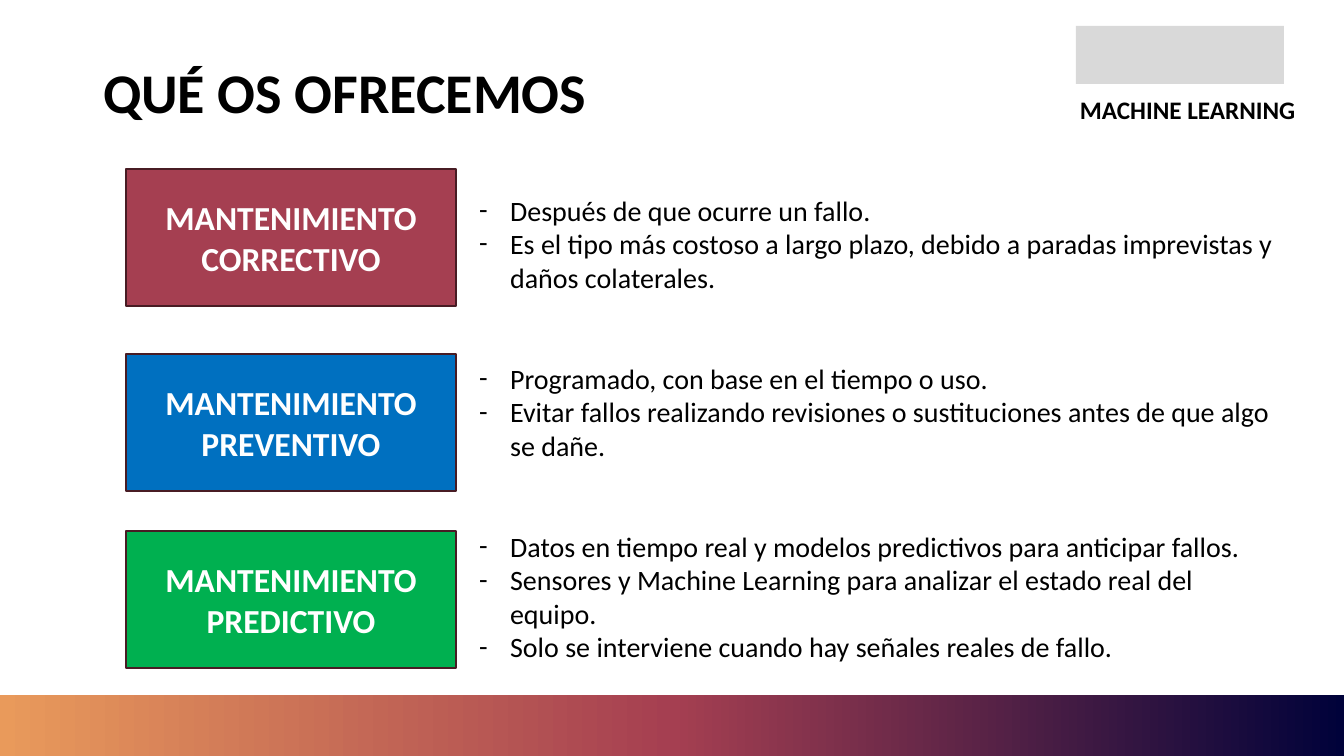
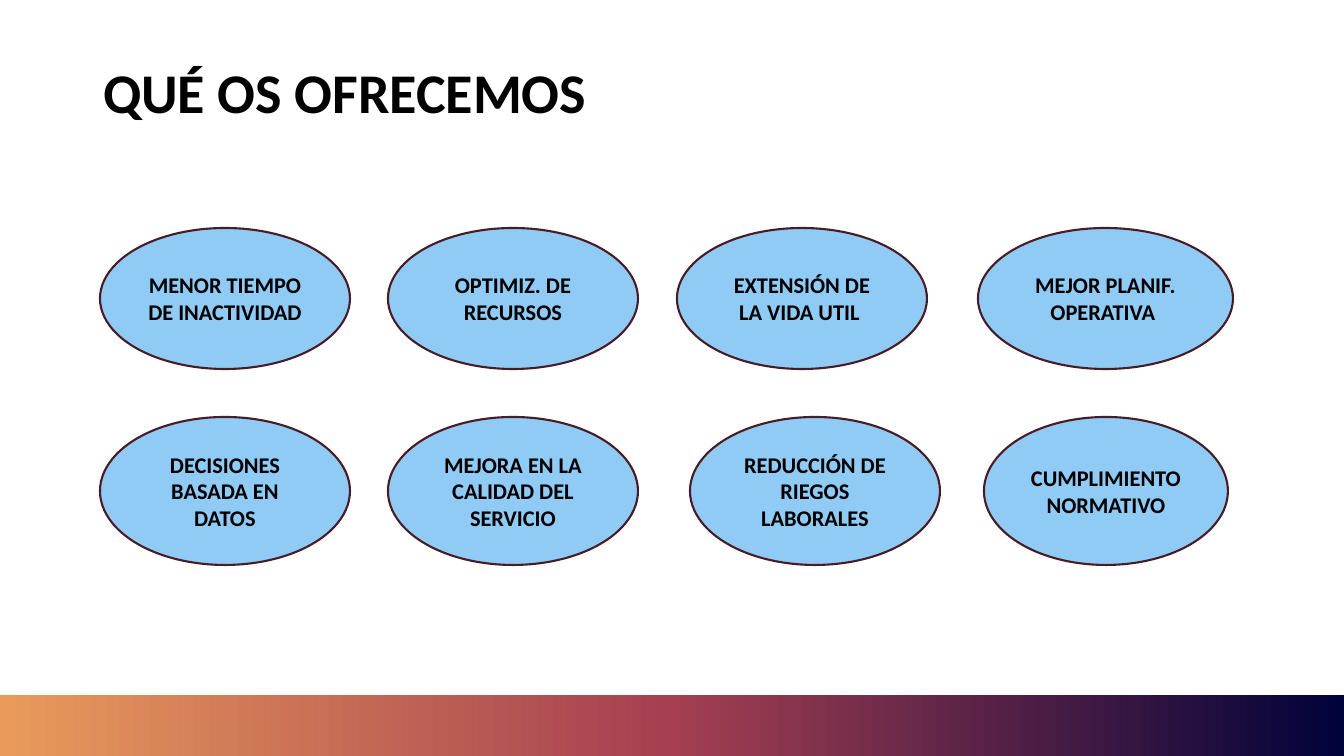
from copy import deepcopy

from lxml import etree
from pptx import Presentation
from pptx import util as u
from pptx.dml.color import RGBColor
from pptx.enum import shapes, text
from pptx.oxml import ns

BLACK = RGBColor(0x00, 0x00, 0x00)
WHITE = RGBColor(0xFF, 0xFF, 0xFF)
GRAY = RGBColor(0xD9, 0xD9, 0xD9)
MAROON = RGBColor(0xA5, 0x3F, 0x51)
BLUE = RGBColor(0x00, 0x70, 0xC0)
GREEN = RGBColor(0x00, 0xB0, 0x50)
SKY = RGBColor(0x90, 0xCB, 0xF5)
OUTLINE = RGBColor(0x48, 0x1C, 0x24)
ORANGE = RGBColor(0xE9, 0x9A, 0x5B)
NAVY = RGBColor(0x00, 0x02, 0x3A)

EMU_PER_PX = 914400 / 100.8
SLIDE_SIZE = (1344, 756)
BAND_BOX = (0, 695, 1344, 61)
BAND_STOPS = [(0, ORANGE), (0.5, MAROON), (1, NAVY)]

TITLE = "QUÉ OS OFRECEMOS"
TITLE_BOX = (93, 40, 753, 91)
TITLE_FONT = {"name": "Calibri", "size": u.Pt(40), "bold": True}

# Label, fill, top of the box, list entries
MAINTENANCE = [
    ("MANTENIMIENTO CORRECTIVO", MAROON, 169, [
        "Después de que ocurre un fallo.",
        "Es el tipo más costoso a largo plazo, debido a paradas imprevistas y daños colaterales.",
    ]),
    ("MANTENIMIENTO PREVENTIVO", BLUE, 354, [
        "Programado, con base en el tiempo o uso.",
        "Evitar fallos realizando revisiones o sustituciones antes de que algo se dañe.",
    ]),
    ("MANTENIMIENTO PREDICTIVO", GREEN, 531, [
        "Datos en tiempo real y modelos predictivos para anticipar fallos.",
        "Sensores y Machine Learning para analizar el estado real del equipo.",
        "Solo se interviene cuando hay señales reales de fallo.",
    ]),
]
LABEL_LEFT, LABEL_WIDTH, LABEL_HEIGHT = 126, 330, 137
LABEL_FONT = {"name": "Calibri", "size": u.Pt(24), "bold": True}
LIST_BOX = (469, 188, 815, 485)
LIST_FONT = {"name": "Calibri", "size": u.Pt(20)}
LIST_INDENT = 31
GROUP_GAP = u.Pt(48)

BLOCK_BOX = (1076, 26, 208, 58)
TAGLINE, TAGLINE_BOX = "MACHINE LEARNING", (1070, 89, 260, 40)
TAGLINE_FONT = {"name": "Calibri", "size": u.Pt(18), "bold": True}

# Top and height of the row, then label, left and width of each ellipse
BENEFIT_ROWS = [
    (228, 141, [
        ("MENOR TIEMPO DE INACTIVIDAD", 100, 250),
        ("OPTIMIZ. DE RECURSOS", 388, 250),
        ("EXTENSIÓN DE LA VIDA UTIL ", 677, 250),
        ("MEJOR PLANIF. OPERATIVA ", 978, 255),
    ]),
    (417, 148, [
        ("DECISIONES BASADA EN DATOS", 100, 250),
        ("MEJORA EN LA CALIDAD DEL SERVICIO", 388, 250),
        ("REDUCCIÓN DE RIEGOS LABORALES", 690, 250),
        ("CUMPLIMIENTO NORMATIVO", 984, 244),
    ]),
]
BENEFIT_FONT = {"name": "Calibri", "size": u.Pt(16), "bold": True}


def px(length):
    return u.Emu(round(length * EMU_PER_PX))


def place(shape, box):
    for side, length in zip(("left", "top", "width", "height"), box):
        setattr(shape, side, px(length))


def write(paragraph, words, font, color=BLACK):
    run = paragraph.add_run()
    run.text = words
    for attribute, value in font.items():
        setattr(run.font, attribute, value)
    run.font.color.rgb = color


def add_plain(slide, kind, box, fill):
    """Add a filled shape without shadow or outline."""
    shape = slide.shapes.add_shape(kind, *map(px, box))
    shape.shadow.inherit = False
    shape.fill.solid()
    shape.fill.fore_color.rgb = fill
    shape.line.fill.background()
    return shape


def add_label(slide, kind, box, words, font, color, fill):
    """Add an outlined shape with centred text."""
    shape = add_plain(slide, kind, box, fill)
    shape.line.color.rgb = OUTLINE
    shape.line.width = u.Pt(1.5)
    frame = shape.text_frame
    frame.word_wrap = True
    frame.vertical_anchor = text.MSO_ANCHOR.MIDDLE
    frame.paragraphs[0].alignment = text.PP_ALIGN.CENTER
    write(frame.paragraphs[0], words, font, color)


def add_titled_slide(presentation, layout_index):
    slide = presentation.slides.add_slide(presentation.slide_layouts[layout_index])
    title = slide.shapes.title
    place(title, TITLE_BOX)
    frame = title.text_frame
    frame.auto_size = text.MSO_AUTO_SIZE.NONE
    frame.vertical_anchor = text.MSO_ANCHOR.BOTTOM
    paragraph = frame.paragraphs[0]
    paragraph.alignment = text.PP_ALIGN.LEFT
    paragraph.line_spacing = 0.9
    write(paragraph, TITLE, TITLE_FONT)
    return slide


def move_band_to_master(slide, master):
    """Draw the gradient band and hand it to the master, so every slide shows it."""
    band = add_plain(slide, shapes.MSO_SHAPE.RECTANGLE, BAND_BOX, MAROON)
    band.fill.gradient()
    band.fill.gradient_angle = 0
    stop_list = band.element.find(".//" + ns.qn("a:gsLst"))
    stop_list.append(deepcopy(stop_list[-1]))
    for stop, (position, color) in zip(band.fill.gradient_stops, BAND_STOPS):
        stop.position = position
        stop.color.rgb = color
    master.shapes.element.append(band.element)


def add_dash(paragraph):
    properties = paragraph._p.get_or_add_pPr()
    properties.set("marL", str(px(LIST_INDENT)))
    properties.set("indent", str(-px(LIST_INDENT)))
    etree.SubElement(properties, ns.qn("a:buFont")).set("typeface", "Calibri")
    etree.SubElement(properties, ns.qn("a:buChar")).set("char", "-")


def fill_maintenance(slide):
    body = slide.placeholders[1]
    place(body, LIST_BOX)
    frame = body.text_frame
    frame.auto_size = text.MSO_AUTO_SIZE.NONE
    paragraph = None
    for label, fill, top, entries in MAINTENANCE:
        add_label(slide, shapes.MSO_SHAPE.RECTANGLE,
                  (LABEL_LEFT, top, LABEL_WIDTH, LABEL_HEIGHT),
                  label, LABEL_FONT, WHITE, fill)
        for index, entry in enumerate(entries):
            starts_group = paragraph is not None and index == 0
            paragraph = frame.add_paragraph() if paragraph is not None else frame.paragraphs[0]
            paragraph.line_spacing = 1.0
            paragraph.space_before = GROUP_GAP if starts_group else u.Pt(0)
            add_dash(paragraph)
            write(paragraph, entry, LIST_FONT)

    add_plain(slide, shapes.MSO_SHAPE.RECTANGLE, BLOCK_BOX, GRAY)
    tagline = slide.shapes.add_textbox(*map(px, TAGLINE_BOX))
    tagline.text_frame.word_wrap = True
    write(tagline.text_frame.paragraphs[0], TAGLINE, TAGLINE_FONT)


def fill_benefits(slide):
    for top, height, benefits in BENEFIT_ROWS:
        for label, left, width in benefits:
            add_label(slide, shapes.MSO_SHAPE.OVAL, (left, top, width, height),
                      label, BENEFIT_FONT, BLACK, SKY)


def main():
    presentation = Presentation()
    presentation.slide_width, presentation.slide_height = map(px, SLIDE_SIZE)
    maintenance = add_titled_slide(presentation, 1)
    move_band_to_master(maintenance, presentation.slide_master)
    fill_maintenance(maintenance)
    fill_benefits(add_titled_slide(presentation, 5))
    presentation.save("out.pptx")


if __name__ == "__main__":
    main()
